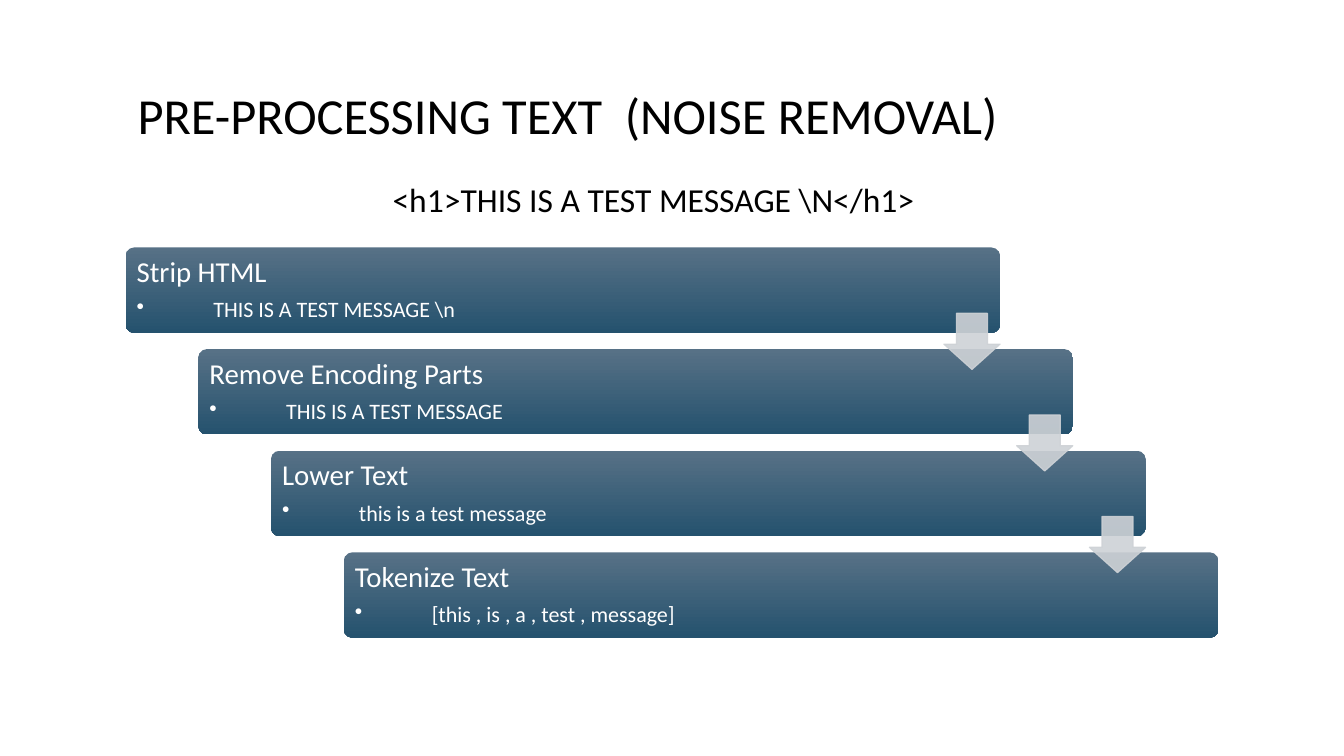
import pptx
import pptx.util
import pptx.dml.color
import pptx.enum.shapes
import pptx.enum.text
import pptx.oxml
import pptx.oxml.ns
from pptx.util import Inches

TITLE = "PRE-PROCESSING TEXT  (NOISE REMOVAL)"
MESSAGE = "<h1>THIS IS A TEST MESSAGE \\N</h1>"
STEPS = [
    ("Strip HTML", "THIS IS A TEST MESSAGE \\n"),
    ("Remove Encoding Parts", "THIS IS A TEST MESSAGE"),
    ("Lower Text", "this is a test message"),
    ("Tokenize Text", "[this , is , a , test , message]"),
]

FONT = "Calibri"
FIRST_LEFT, FIRST_TOP = 1.03, 2.03
LAST_LEFT, LAST_TOP = 2.82, 4.53
STEP_WIDTH, STEP_HEIGHT = 7.17, 0.7
ARROW_SIZE, ARROW_DROP = 0.46, 0.54
BULLET_INDENT = 0.63

SHAPES = pptx.enum.shapes.MSO_SHAPE
MIDDLE = pptx.enum.text.MSO_ANCHOR.MIDDLE
LEFT = pptx.enum.text.PP_ALIGN.LEFT


def color(value):
    return pptx.dml.color.RGBColor.from_string(value)


def add_element(parent, tag, **attributes):
    element = pptx.oxml.parse_xml(f"<a:{tag} {pptx.oxml.ns.nsdecls('a')}/>")
    for name, value in attributes.items():
        element.set(name, str(value))
    parent.append(element)


def write(paragraph, text, size=17, fill="FFFFFF", after=0, spacing=0.9, bullet=False):
    paragraph.alignment = LEFT
    paragraph.line_spacing = spacing
    paragraph.space_after = pptx.util.Pt(after)
    run = paragraph.add_run()
    run.text = text
    run.font.name = FONT
    run.font.size = pptx.util.Pt(size)
    run.font.color.rgb = color(fill)
    if bullet:
        paragraph.level = 1
        properties = paragraph._p.get_or_add_pPr()
        properties.set("marL", str(Inches(BULLET_INDENT)))
        properties.set("indent", str(-Inches(BULLET_INDENT)))
        add_element(properties, "buChar", char="•")


def add_text_box(slide, left, top, width, height, text, **text_format):
    box = slide.shapes.add_textbox(Inches(left), Inches(top), Inches(width), Inches(height))
    frame = box.text_frame
    frame.vertical_anchor = MIDDLE
    frame.word_wrap = True
    write(frame.paragraphs[0], text, **text_format)


def add_shape(slide, kind, left, top, width, height, adjustments):
    shape = slide.shapes.add_shape(kind, Inches(left), Inches(top), Inches(width), Inches(height))
    shape.shadow.inherit = False
    for index, value in enumerate(adjustments):
        shape.adjustments[index] = value
    return shape


def add_step(slide, left, top, heading, result):
    box = add_shape(slide, SHAPES.ROUNDED_RECTANGLE, left, top, STEP_WIDTH, STEP_HEIGHT, [0.1])
    box.line.fill.background()
    box.fill.gradient()
    box.fill.gradient_angle = 270
    for stop, value in zip(box.fill.gradient_stops, ("577186", "25526E")):
        stop.color.rgb = color(value)
    frame = box.text_frame
    frame.word_wrap = True
    frame.vertical_anchor = MIDDLE
    frame.margin_left = frame.margin_right = Inches(0.07)
    frame.margin_top = frame.margin_bottom = Inches(0.07)
    write(frame.paragraphs[0], heading, after=6)
    write(frame.add_paragraph(), result, size=13, after=2, bullet=True)


def add_arrow(slide, left, top):
    arrow = add_shape(slide, SHAPES.DOWN_ARROW, left, top, ARROW_SIZE, ARROW_SIZE, [0.55, 0.45])
    arrow.fill.solid()
    arrow.fill.fore_color.rgb = color("CED2D6")
    arrow.line.color.rgb = color("CED2D6")
    arrow.line.width = pptx.util.Pt(0.75)
    for rgb in arrow._element.spPr.iter(pptx.oxml.ns.qn("a:srgbClr")):
        add_element(rgb, "alpha", val=90000)


def main():
    presentation = pptx.Presentation()
    presentation.slide_width = Inches(11.02)
    presentation.slide_height = Inches(6.2)
    slide = presentation.slides.add_slide(presentation.slide_layouts[6])

    add_text_box(slide, 1.03, 0.3, 8.96, 1.34, TITLE, size=29.8, fill="000000")

    gaps = len(STEPS) - 1
    places = [
        (FIRST_LEFT + (LAST_LEFT - FIRST_LEFT) * index / gaps,
         FIRST_TOP + (LAST_TOP - FIRST_TOP) * index / gaps)
        for index in range(len(STEPS))
    ]
    for (left, top), (heading, result) in zip(places, STEPS):
        add_step(slide, left, top, heading, result)
    for left, top in places[:-1]:
        add_arrow(slide, left + STEP_WIDTH - ARROW_SIZE, top + ARROW_DROP)

    add_text_box(slide, 3.12, 1.42, 4.82, 0.43, MESSAGE, size=19.8, fill="000000", spacing=1.0)
    presentation.save("out.pptx")


if __name__ == "__main__":
    main()
